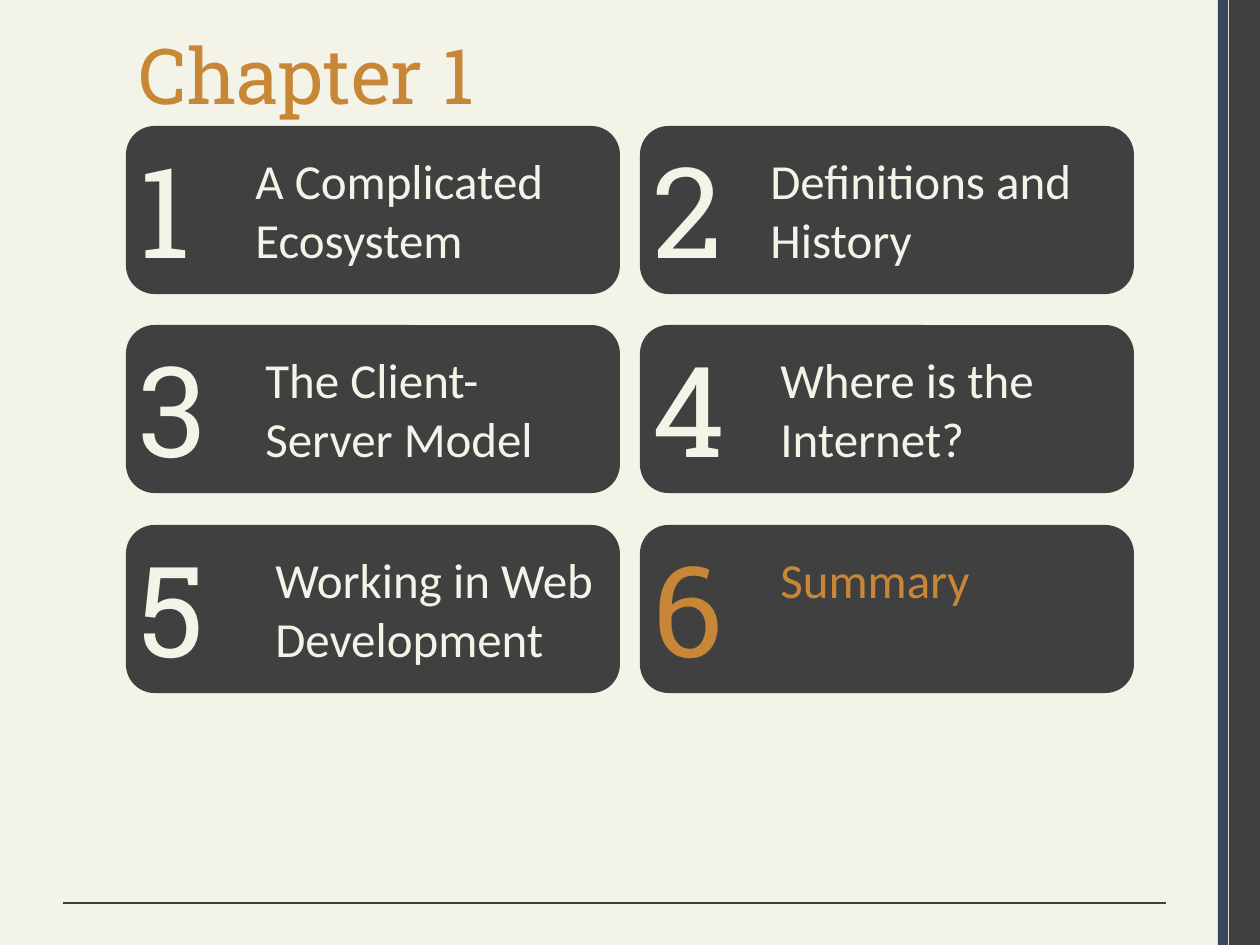
from lxml.etree import SubElement
from pptx import Presentation
from pptx.dml.color import RGBColor
from pptx.enum.shapes import MSO_CONNECTOR, MSO_SHAPE
from pptx.enum.text import MSO_ANCHOR, MSO_AUTO_SIZE, PP_ALIGN
from pptx.oxml.ns import qn
from pptx.util import Emu, Pt

# Content: label, left indent of the label in its card, text colour
TITLE = "Chapter 1"
SECTIONS = [
    ("A Complicated Ecosystem", 117, "cream"),
    ("Definitions and History", 118, "cream"),
    ("The Client-Server Model", 127, "cream"),
    ("Where is the Internet?", 128, "cream"),
    ("Working in Web Development", 137, "cream"),
    ("Summary", 128, "orange"),
]
COLORS = {"cream": "F3F3E7", "dark": "404040", "navy": "37475F", "orange": "C88736"}
HEADING, BODY = "Roboto Slab", "Calibri"

# Layout in px
SCALE = 914400 / 126
COLUMNS, ROWS = (126, 640), (126, 325, 525)
CARD_W, CARD_H = 494, 168
NUMBER_W, NUMBER_H = 94, 165
LABEL_W, LABEL_H, LABEL_DY = 348, 131, 18


def px(*values):
    return [Emu(round(v * SCALE)) for v in values]


def color(name):
    return RGBColor.from_string(COLORS[name])


def add_block(s, kind, box, fill):
    sp = s.shapes.add_shape(kind, *px(*box))
    sp.shadow.inherit = False
    sp.fill.solid()
    sp.fill.fore_color.rgb = color(fill)
    sp.line.fill.background()
    return sp


def write(tf, text, font, size, fill):
    tf.text = text
    p = tf.paragraphs[0]
    p.alignment = PP_ALIGN.LEFT
    p.line_spacing = 1.0
    f = p.runs[0].font
    f.name, f.size, f.color.rgb = font, Pt(size), color(fill)


def add_text(s, box, text, font, size, fill):
    tf = s.shapes.add_textbox(*px(*box)).text_frame
    tf.word_wrap = True
    tf.auto_size = MSO_AUTO_SIZE.SHAPE_TO_FIT_TEXT
    write(tf, text, font, size, fill)


def main():
    prs = Presentation()
    prs.slide_width, prs.slide_height = px(1260, 945)
    s = prs.slides.add_slide(prs.slide_layouts[5])
    s.background.fill.solid()
    s.background.fill.fore_color.rgb = color("cream")

    # Side bars and footer rule
    add_block(s, MSO_SHAPE.RECTANGLE, (1229, 0, 31, 945), "dark")
    add_block(s, MSO_SHAPE.RECTANGLE, (1218, 0, 10, 945), "navy")
    rule = s.shapes.add_connector(MSO_CONNECTOR.STRAIGHT, *px(1166, 903, 63, 903))
    rule.line.color.rgb = color("dark")
    rule.line.width = Pt(0.75)
    SubElement(rule._element.spPr, qn("a:effectLst"))

    # Title
    title = s.shapes.title
    title.left, title.top, title.width, title.height = px(126, 21, 1092, 147)
    tf = title.text_frame
    tf.vertical_anchor = MSO_ANCHOR.TOP
    tf.auto_size = MSO_AUTO_SIZE.NONE
    write(tf, TITLE, HEADING, 44, "orange")

    # Numbered cards, filled row by row
    for i, (label, indent, fill) in enumerate(SECTIONS):
        row, col = divmod(i, len(COLUMNS))
        x, y = COLUMNS[col], ROWS[row]
        card = add_block(s, MSO_SHAPE.ROUNDED_RECTANGLE, (x, y, CARD_W, CARD_H), "dark")
        card.adjustments[0] = 0.17
        add_text(s, (x, y, NUMBER_W, NUMBER_H), str(i + 1), HEADING, 72, fill)
        add_text(s, (x + indent, y + LABEL_DY, LABEL_W, LABEL_H), label, BODY, 28, fill)

    prs.save("out.pptx")


if __name__ == "__main__":
    main()
